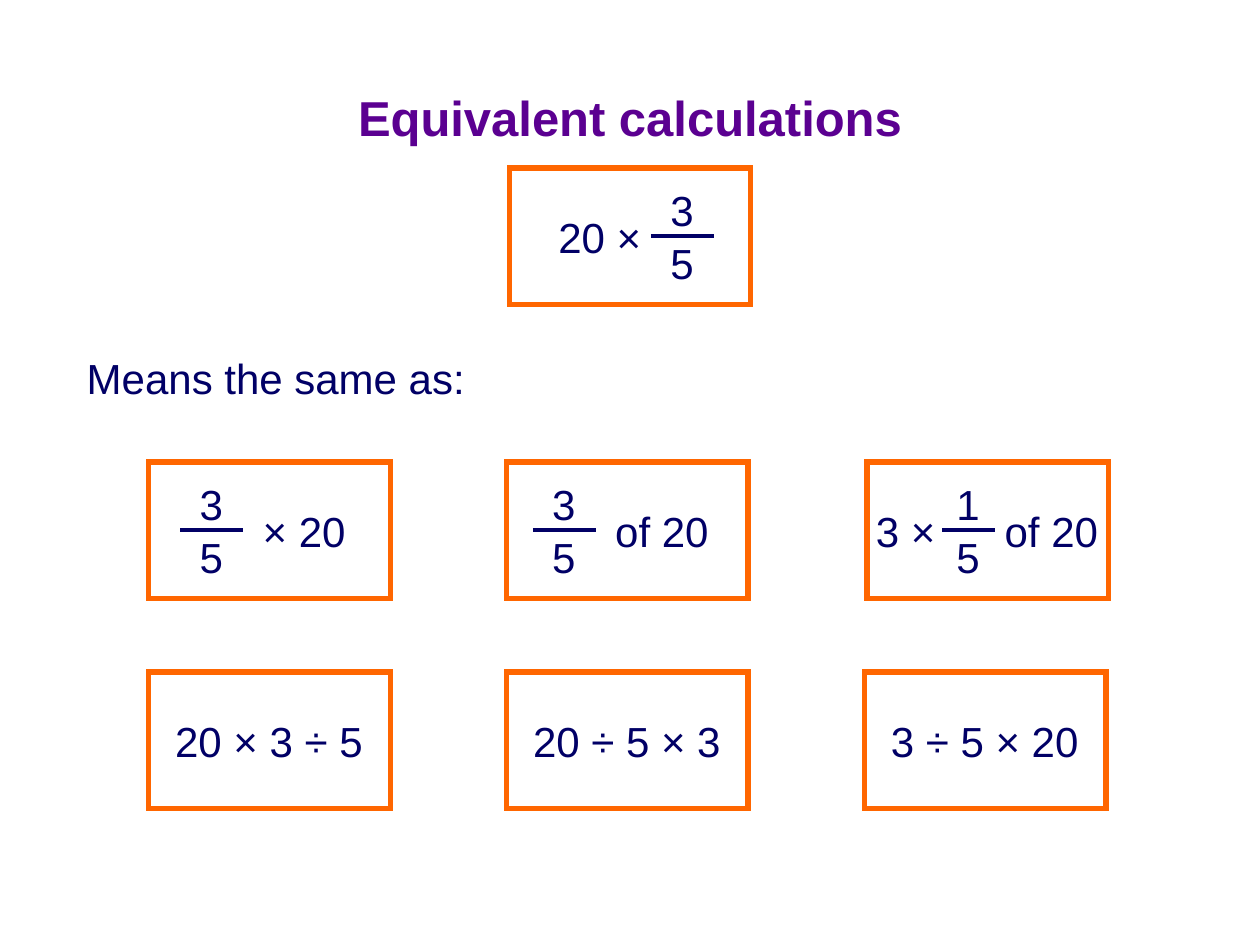
import pptx
import pptx.dml.color
import pptx.enum.shapes
import pptx.enum.text
import pptx.oxml.ns
import pptx.util
from lxml import etree

Pt = pptx.util.Pt
NAVY = "010066"
PURPLE = "5B0091"
ORANGE = "FF6600"
CARD_WIDTH, CARD_HEIGHT = 138, 78
BAR_DROP = 39
TERM_DROP = 21.5
LINE_HEIGHT = 36
DIGIT_WIDTH = 28
BODY = {"size": Pt(24), "name": "Arial", "bold": False}
HEADING = {"size": Pt(28), "name": "Arial", "bold": True}
ONE_LINE = {"word_wrap": False,
            "auto_size": pptx.enum.text.MSO_AUTO_SIZE.SHAPE_TO_FIT_TEXT}
TITLE_FRAME = {"word_wrap": True,
               "vertical_anchor": pptx.enum.text.MSO_ANCHOR.MIDDLE}


def color(hex_string):
    return pptx.dml.color.RGBColor.from_string(hex_string)


def set_all(target, values):
    for name, value in values.items():
        setattr(target, name, value)


def add_text(shapes, words, left, top, width, height=LINE_HEIGHT,
             font=BODY, ink=NAVY, frame=ONE_LINE, align=None):
    label = shapes.add_textbox(Pt(left), Pt(top), Pt(width), Pt(height))
    set_all(label.text_frame, frame)
    paragraph = label.text_frame.paragraphs[0]
    paragraph.alignment = align
    run = paragraph.add_run()
    run.text = words
    set_all(run.font, font)
    run.font.color.rgb = color(ink)


def set_line(outlined, hex_string, weight):
    outlined.line.color.rgb = color(hex_string)
    outlined.line.width = Pt(weight)


def add_fraction(shapes, numerator, denominator, left, top, bar_width):
    digit_left = left + (bar_width - DIGIT_WIDTH) / 2
    add_text(shapes, numerator, digit_left, top + 6, DIGIT_WIDTH)
    bar_y = Pt(top + BAR_DROP)
    bar = shapes.add_connector(pptx.enum.shapes.MSO_CONNECTOR.STRAIGHT,
                               Pt(left), bar_y, Pt(left + bar_width), bar_y)
    set_line(bar, NAVY, 2.25)
    etree.SubElement(bar._element.spPr, pptx.oxml.ns.qn("a:effectLst"))
    add_text(shapes, denominator, digit_left, top + 36, DIGIT_WIDTH)


def add_card(slide, left, top, terms, fraction=None):
    shapes = slide.shapes.add_group_shape().shapes
    if fraction:
        numerator, denominator, offset, bar_width = fraction
        add_fraction(shapes, numerator, denominator, left + offset, top, bar_width)
    for words, offset, width in terms:
        add_text(shapes, words, left + offset, top + TERM_DROP, width)
    border = shapes.add_shape(pptx.enum.shapes.MSO_SHAPE.RECTANGLE,
                              Pt(left), Pt(top), Pt(CARD_WIDTH), Pt(CARD_HEIGHT))
    border.shadow.inherit = False
    border.fill.background()
    set_line(border, ORANGE, 3)
    outline = border._element.spPr.find(pptx.oxml.ns.qn("a:ln"))
    etree.SubElement(outline, pptx.oxml.ns.qn("a:miter"), lim="800000")


def main():
    deck = pptx.Presentation()
    set_all(deck, {"slide_width": Pt(720), "slide_height": Pt(540)})
    slide = deck.slides.add_slide(deck.slide_layouts[6])

    add_text(slide.shapes, "Means the same as:", 42.5, 198, 230.5)
    add_card(slide, 291, 96, [("20 ×", 21, 63)], ("3", "5", 81, 36))

    fraction_cards = [
        (85, [("× 20", 58, 63)], ("3", "5", 18, 36)),
        (289.5, [("of 20", 55, 69)], ("3", "5", 15, 36)),
        (495.5, [("3 ×", -2, 50), ("of 20", 71.5, 69)], ("1", "5", 43, 30)),
    ]
    for left, terms, fraction in fraction_cards:
        add_card(slide, left, 264, terms, fraction)

    for column, calculation in enumerate(["20 × 3 ÷ 5", "20 ÷ 5 × 3", "3 ÷ 5 × 20"]):
        add_card(slide, 85 + 204.5 * column, 384, [(calculation, 8, 123)])

    add_text(slide.shapes, "Equivalent calculations", 36, 22, 648, 90,
             HEADING, PURPLE, TITLE_FRAME, pptx.enum.text.PP_ALIGN.CENTER)
    deck.save("out.pptx")


if __name__ == "__main__":
    main()
